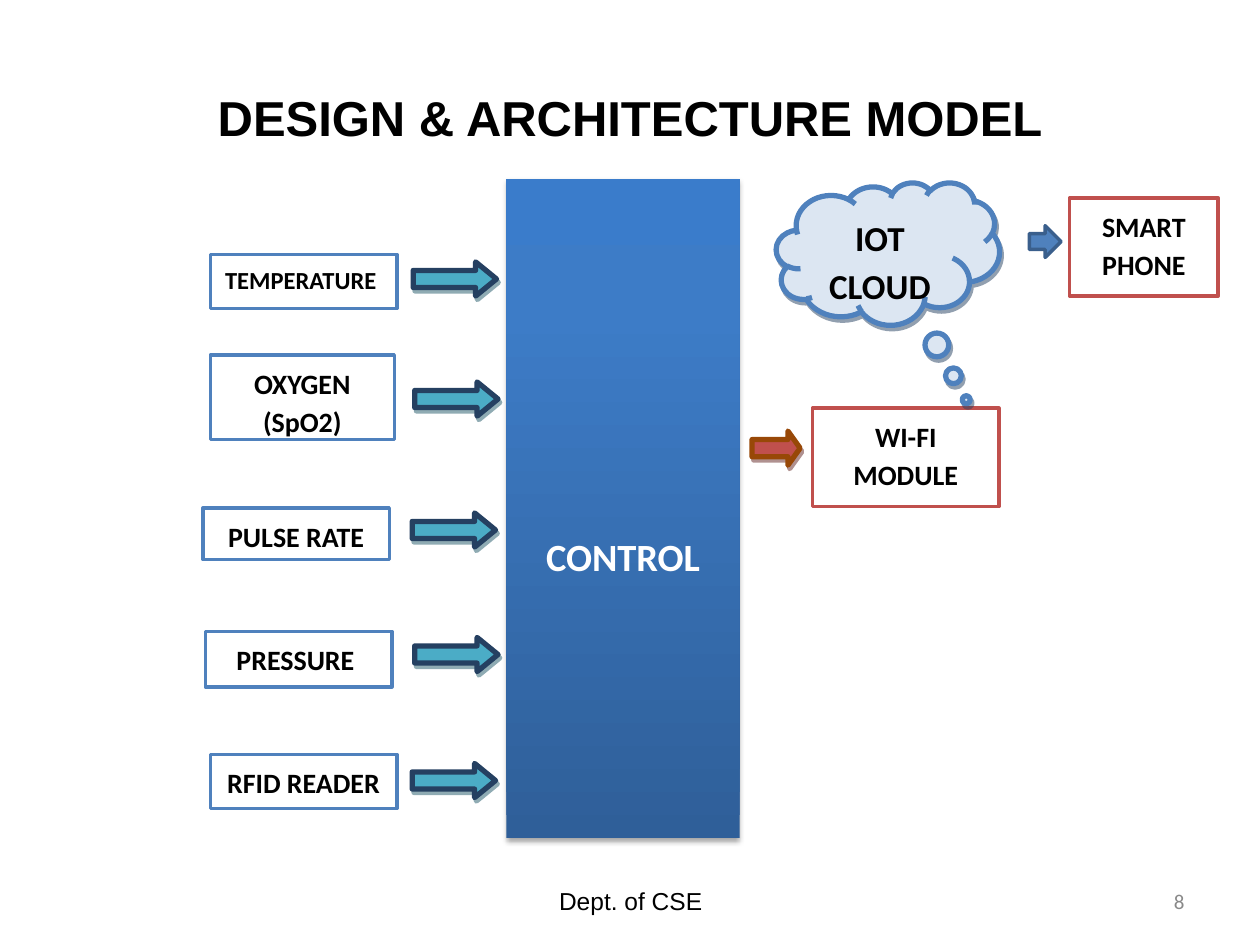
from copy import deepcopy

from lxml import etree
from pptx import Presentation
from pptx.dml.color import RGBColor
from pptx.enum.shapes import MSO_SHAPE
from pptx.enum.text import MSO_ANCHOR, PP_ALIGN
from pptx.oxml.ns import qn
from pptx.util import Cm, Pt

RECT = MSO_SHAPE.RECTANGLE
ARROW = MSO_SHAPE.RIGHT_ARROW
CLOUD = MSO_SHAPE.CLOUD_CALLOUT
TOP, MIDDLE = MSO_ANCHOR.TOP, MSO_ANCHOR.MIDDLE
CENTER, RIGHT = PP_ALIGN.CENTER, PP_ALIGN.RIGHT

BLACK, WHITE, GREY = "000000", "FFFFFF", "898989"
BLUE, RED, TEAL, NAVY = "4F81BD", "C0504D", "4BACC6", "254061"

SENSORS = [
    ("TEMPERATURE ", 14, (4.24, 5.13, 3.76, 1.09), (8.33, 5.28)),
    ("OXYGEN (SpO2)", 16, (4.24, 7.16, 3.71, 1.7), (8.36, 7.7)),
    ("PULSE RATE", 16, (4.09, 10.24, 3.76, 1.04), (8.31, 10.34)),
    ("PRESSURE ", 16, (4.14, 12.73, 3.76, 1.12), (8.36, 12.85)),
    ("RFID READER", 16, (4.24, 15.21, 3.76, 1.09), (8.31, 15.39)),
]


def rgb(color):
    return RGBColor.from_string(color)


def write(sp, text, size, color=BLACK, font="Calibri", bold=True,
          align=CENTER, anchor=TOP, spacing=None):
    tf = sp.text_frame
    tf.word_wrap = True
    tf.vertical_anchor = anchor
    tf.text = text
    p = tf.paragraphs[0]
    p.alignment = align
    if spacing:
        p.line_spacing = spacing
        p.space_after = Pt(10)
    f = p.runs[0].font
    f.name, f.size, f.bold = font, Pt(size), bold
    f.color.rgb = rgb(color)


def add_shape(s, kind, box, fill=WHITE, line=None, width=2, adj=()):
    sp = s.shapes.add_shape(kind, *map(Cm, box))
    sp.shadow.inherit = False
    sp.fill.solid()
    sp.fill.fore_color.rgb = rgb(fill)
    if line:
        sp.line.color.rgb = rgb(line)
        sp.line.width = Pt(width)
    else:
        sp.line.fill.background()
    for i, value in enumerate(adj):
        sp.adjustments[i] = value
    return sp


def add_shadow(sp, color, alpha=50, blur=0, dist=2.2, angle=63):
    effects = sp._element.spPr.find(qn("a:effectLst"))
    shadow = etree.SubElement(
        effects, qn("a:outerShdw"), blurRad=str(Pt(blur)), dist=str(Pt(dist)),
        dir=str(angle * 60000), algn="ctr", rotWithShape="0")
    clr = etree.SubElement(shadow, qn("a:srgbClr"), val=color)
    etree.SubElement(clr, qn("a:alpha"), val=str(alpha * 1000))


def set_gradient(sp, stops):
    sp.fill.gradient()
    sp.fill.gradient_angle = 90
    gs_list = sp._element.spPr.find(".//" + qn("a:gsLst"))
    while len(gs_list) < len(stops):
        gs_list.append(deepcopy(gs_list[0]))
    for stop, (position, color) in zip(sp.fill.gradient_stops, stops):
        stop.position = position
        stop.color.rgb = rgb(color)


def add_box(s, text, size, box, line):
    sp = add_shape(s, RECT, box, line=line)
    write(sp, text, size, spacing=1.15)


def add_arrow(s, box, fill, line, width=3, head=0.5, shadow=None):
    sp = add_shape(s, ARROW, box, fill, line, width, (0.5, head))
    if shadow:
        add_shadow(sp, shadow)


def add_label(s, text, size, box, **style):
    sp = s.shapes.add_textbox(*map(Cm, box))
    write(sp, text, size, bold=False, anchor=MIDDLE, **style)


def add_title(s, text):
    title = s.shapes.title
    title.left, title.top, title.width, title.height = map(
        Cm, (1.27, 0.76, 22.86, 3.18))
    write(title, text, 28, font="Arial", anchor=MIDDLE)


def add_board(s):
    sp = add_shape(s, RECT, (10.21, 3.61, 4.7, 13.28))
    set_gradient(sp, [(0, "2F5F99"), (0.8, "3D7CC7"), (1, "3A7CCB")])
    add_shadow(sp, BLACK, 35, 3.1, 1.8, 90)
    write(sp, "CONTROL", 22, WHITE, anchor=MIDDLE, spacing=1.15)
    sp.text_frame.margin_top = Cm(1.9)


def add_cloud(s):
    sp = add_shape(s, CLOUD, (15.65, 3.68, 4.5, 2.87), "DCE6F2", BLUE, 3,
                   (0.351, 1.026))
    add_shadow(sp, NAVY)
    write(sp, "IOT CLOUD", 20, spacing=1.15)


def main():
    prs = Presentation()
    prs.slide_width, prs.slide_height = Cm(25.4), Cm(19.05)
    s = prs.slides.add_slide(prs.slide_layouts[5])
    add_title(s, "DESIGN & ARCHITECTURE MODEL")
    add_label(s, "Dept. of CSE", 14, (8.69, 17.65, 8.05, 1.02), font="Arial")
    add_label(s, "8", 12, (18.21, 17.65, 5.92, 1.02), color=GREY, align=RIGHT)
    add_box(s, "WI-FI MODULE", 16, (16.38, 8.23, 3.76, 1.98), RED)
    add_board(s)
    add_cloud(s)
    add_arrow(s, (15.16, 8.69, 0.97, 0.69), RED, "984807", head=0.356,
              shadow="632523")
    for text, size, box, arrow_at in SENSORS:
        add_box(s, text, size, box, BLUE)
        add_arrow(s, (*arrow_at, 1.68, 0.69), TEAL, NAVY, head=0.611,
                  shadow="215968")
    add_arrow(s, (20.75, 4.55, 0.64, 0.64), BLUE, "3A5F8C", width=2)
    add_box(s, "SMART PHONE", 16, (21.56, 3.99, 3, 1.98), RED)
    prs.save("out.pptx")


main()
